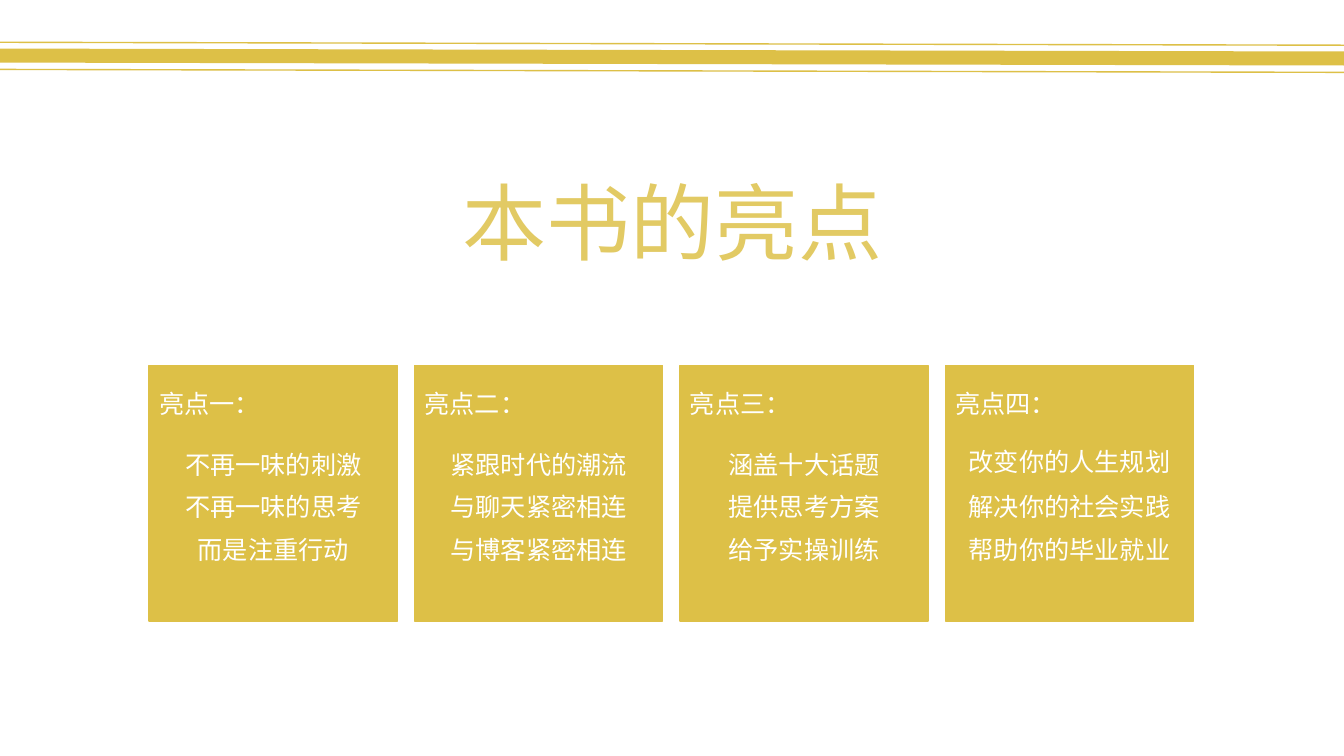
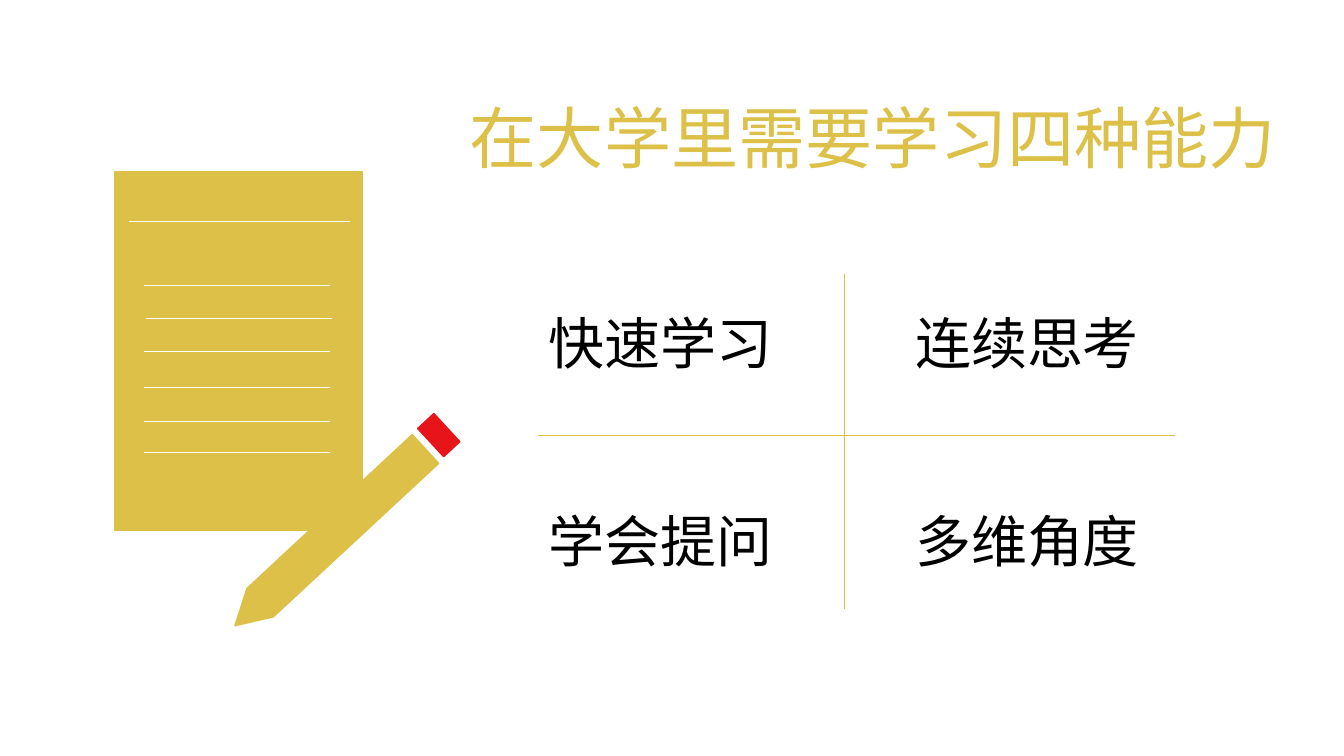
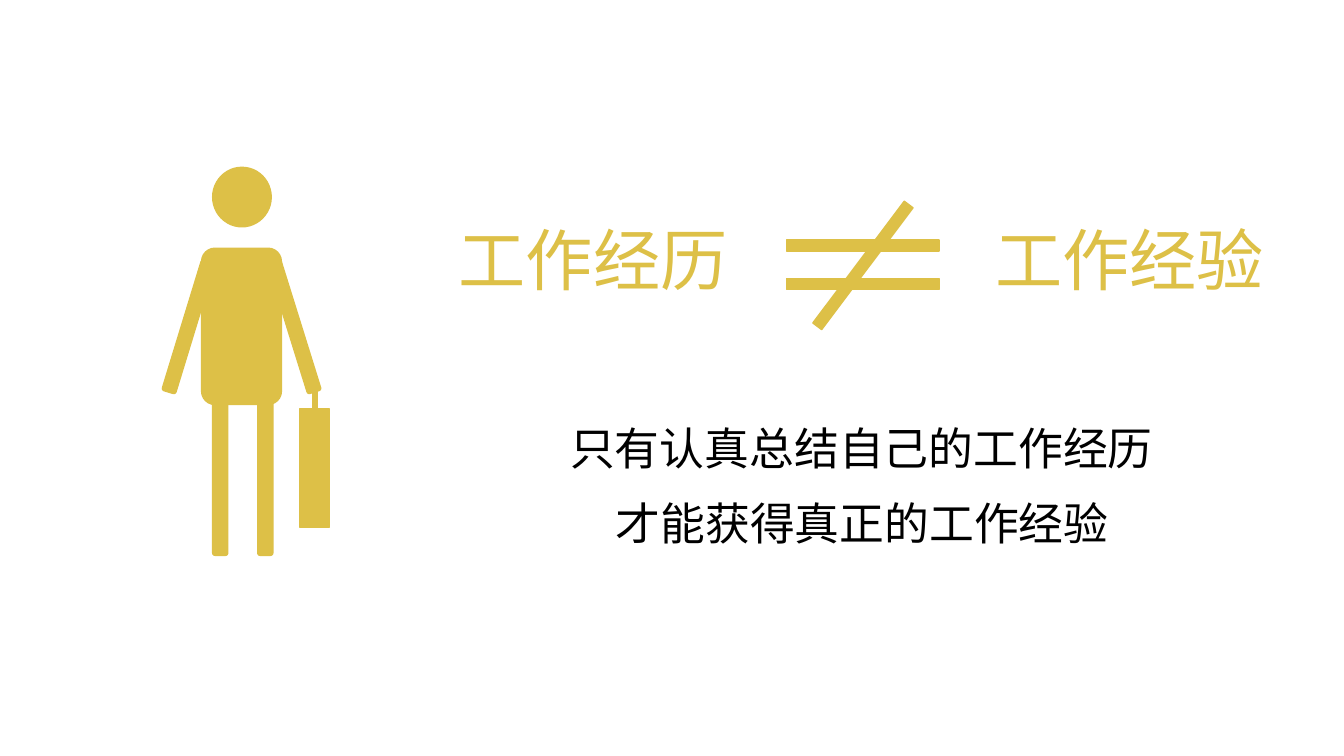
from dataclasses import dataclass

from lxml import etree
from pptx import Presentation
from pptx.dml.color import RGBColor
from pptx.enum import shapes, text
from pptx.oxml import ns
from pptx.util import Pt

SHAPE = shapes.MSO_SHAPE
ALIGN = text.PP_ALIGN


@dataclass(frozen=True)
class Theme:
    gold: str = "DDC047"
    pale_gold: str = "E2CA64"
    red: str = "E7141A"
    white: str = "FFFFFF"
    black: str = "000000"
    font: str = "Noto Sans CJK SC"
    cover: float = 60
    title: float = 48
    label: float = 40
    body: float = 32
    card: float = 18
    outline: float = 1
    hairline: float = 0.5
    band: float = 10


@dataclass(frozen=True)
class Box:
    x: float
    y: float
    w: float
    h: float

    def emu(self) -> tuple:
        return Pt(self.x), Pt(self.y), Pt(self.w), Pt(self.h)


@dataclass(frozen=True)
class Card:
    heading: str
    lines: tuple[str, ...]
    first_y: float = 317.5


@dataclass(frozen=True)
class Part:
    kind: int
    box: Box
    rotation: float = 0


T = Theme()


# Shared drawing functions
def rgb(color: str) -> RGBColor:
    return RGBColor.from_string(color)


def paint(sp, color: str) -> None:
    sp.shadow.inherit = False
    sp.fill.solid()
    sp.fill.fore_color.rgb = rgb(color)
    sp.line.color.rgb = rgb(color)
    sp.line.width = Pt(T.outline)


def add_part(s, part: Part, color: str = T.gold) -> None:
    sp = s.shapes.add_shape(part.kind, *part.box.emu())
    sp.rotation = part.rotation
    paint(sp, color)


def add_line(s, x1: float, y1: float, x2: float, y2: float,
             color: str = T.gold, width: float = T.hairline) -> None:
    cx = s.shapes.add_connector(shapes.MSO_CONNECTOR.STRAIGHT, Pt(x1), Pt(y1), Pt(x2), Pt(y2))
    cx.line.color.rgb = rgb(color)
    cx.line.width = Pt(width)
    etree.SubElement(cx._element.spPr, ns.qn("a:effectLst"))


def write(sp, words: str, size: float, color: str, align=ALIGN.LEFT, wrap: bool = False) -> None:
    tf = sp.text_frame
    tf.text = words
    tf.word_wrap = wrap
    tf.auto_size = text.MSO_AUTO_SIZE.SHAPE_TO_FIT_TEXT
    tf.vertical_anchor = text.MSO_ANCHOR.TOP
    p = tf.paragraphs[0]
    p.alignment = align
    p.font.size = Pt(size)
    p.font.color.rgb = rgb(color)
    p.font.name = T.font
    # East Asian typeface, next to the Latin one
    props = p._p.pPr.find(ns.qn("a:defRPr"))
    etree.SubElement(props, ns.qn("a:ea")).set("typeface", T.font)


def add_text(s, box: Box, words: str, size: float, color: str,
             align=ALIGN.LEFT, wrap: bool = False) -> None:
    write(s.shapes.add_textbox(*box.emu()), words, size, color, align, wrap)


def add_titled_slide(prs, box: Box, words: str, size: float = T.title, color: str = T.gold,
                     align=ALIGN.LEFT, wrap: bool = False):
    s = prs.slides.add_slide(prs.slide_layouts[5])
    sp = s.shapes.title
    sp.left, sp.top, sp.width, sp.height = box.emu()
    write(sp, words, size, color, align, wrap)
    return s


# Slide 1: four highlight cards
CARDS = (
    Card("亮点一：", ("不再一味的刺激", "不再一味的思考", "而是注重行动")),
    Card("亮点二：", ("紧跟时代的潮流", "与聊天紧密相连", "与博客紧密相连")),
    Card("亮点三：", ("涵盖十大话题", "提供思考方案", "给予实操训练")),
    Card("亮点四：", ("改变你的人生规划", "解决你的社会实践", "帮助你的毕业就业"), 315.4),
)


def add_card(s, card: Card, x: float) -> None:
    width, line_h = 177.3, 29
    add_part(s, Part(SHAPE.RECTANGLE, Box(x, 260.9, width, 182.6)))
    add_text(s, Box(x, 273.6, width, line_h), card.heading, T.card, T.white, wrap=True)
    for y, words in zip((card.first_y, 347.5, 378), card.lines):
        add_text(s, Box(x, y, width, line_h), words, T.card, T.white, ALIGN.CENTER, True)


def highlights_slide(prs) -> None:
    s = add_titled_slide(prs, Box(0, 118, 960, 80), "本书的亮点",
                         T.cover, T.pale_gold, ALIGN.CENTER, True)
    for i, card in enumerate(CARDS):
        add_card(s, card, 106.5 + i * 189.6)
    for y, width in ((30.2, T.outline), (39.7, T.band), (49.6, T.outline)):
        add_line(s, 0, y, 960, y + 2.1, width=width)


# Slide 2: notepad, pencil and four abilities
def add_notepad(s) -> None:
    add_part(s, Part(SHAPE.RECTANGLE, Box(81.8, 122.8, 177.1, 255.8)))
    add_line(s, 92.2, 158.4, 250.2, 158.4, T.white)
    rules = ((102.9, 203.7), (104.2, 227.2), (102.9, 250.7),
             (102.9, 276.5), (102.9, 301), (102.9, 322.8))
    for x, y in rules:
        add_line(s, x, y, x + 132.9, y, T.white)


def add_pencil(s) -> None:
    add_part(s, Part(SHAPE.RECTANGLE, Box(299.7, 302.9, 27.4, 15.8), 47.2), T.red)
    outline = [(Pt(x), Pt(y)) for x, y in (
        (294.5, 310.4), (313.4, 331), (195.3, 440.6), (167.8, 447), (176.4, 420.4))]
    builder = s.shapes.build_freeform(*outline[0])
    builder.add_line_segments(outline[1:], close=True)
    paint(builder.convert_to_shape(), T.gold)


def abilities_slide(prs) -> None:
    s = add_titled_slide(prs, Box(328.3, 65.5, 596.2, 65.5), "在大学里需要学习四种能力")
    add_notepad(s)
    add_pencil(s)
    abilities = (("快速学习", "连续思考"), ("学会提问", "多维角度"))
    for row, pair in enumerate(abilities):
        for col, words in enumerate(pair):
            box = Box(384.5 + col * 262.1, 216.7 + row * 141.8, 176.4, 55.4)
            add_text(s, box, words, T.label, T.black)
    add_line(s, 384.5, 310.7, 839.5, 310.7)
    add_line(s, 603.3, 195.8, 603.3, 435.2)


# Slide 3: person with a briefcase, unequal terms
PERSON = (
    Part(SHAPE.FLOWCHART_CONNECTOR, Box(151.9, 119.5, 41.8, 42.5)),  # head
    Part(SHAPE.ROUNDED_RECTANGLE, Box(144, 177.3, 57, 111.6)),  # body
    Part(SHAPE.ROUNDED_RECTANGLE, Box(129.6, 185, 10.1, 97.2), 17),  # arms
    Part(SHAPE.ROUNDED_RECTANGLE, Box(205.2, 185, 10.1, 97.2), 342.7),
    Part(SHAPE.ROUNDED_RECTANGLE, Box(151.9, 280.8, 10.8, 115.9)),  # legs
    Part(SHAPE.ROUNDED_RECTANGLE, Box(184.1, 280.8, 10.8, 115.9)),
    Part(SHAPE.RECTANGLE, Box(213.8, 292.3, 21.6, 84.2)),  # briefcase
    Part(SHAPE.RECTANGLE, Box(223, 269.3, 3.6, 28.1)),
)
NOT_EQUAL = tuple(
    Part(SHAPE.RECTANGLE, Box(562, y, 108.8, 7.9), angle)
    for y, angle in ((171.4, 0), (198.9, 0), (185.6, 306.9)))


def experience_slide(prs) -> None:
    left = Box(320.4, 152.6, 208.1, 65.5)
    s = add_titled_slide(prs, left, "工作经历")
    add_text(s, Box(703.7, left.y, left.w, left.h), "工作经验", T.title, T.gold)
    for part in PERSON + NOT_EQUAL:
        add_part(s, part)
    add_text(s, Box(400.2, 297.1, 434.9, 46.1), "只有认真总结自己的工作经历", T.body, T.black)
    add_text(s, Box(432.7, 350.6, 370.1, 46.1), "才能获得真正的工作经验", T.body, T.black)


def main() -> None:
    prs = Presentation()
    prs.slide_width, prs.slide_height = Pt(960), Pt(540)
    highlights_slide(prs)
    abilities_slide(prs)
    experience_slide(prs)
    prs.save("out.pptx")


if __name__ == "__main__":
    main()
